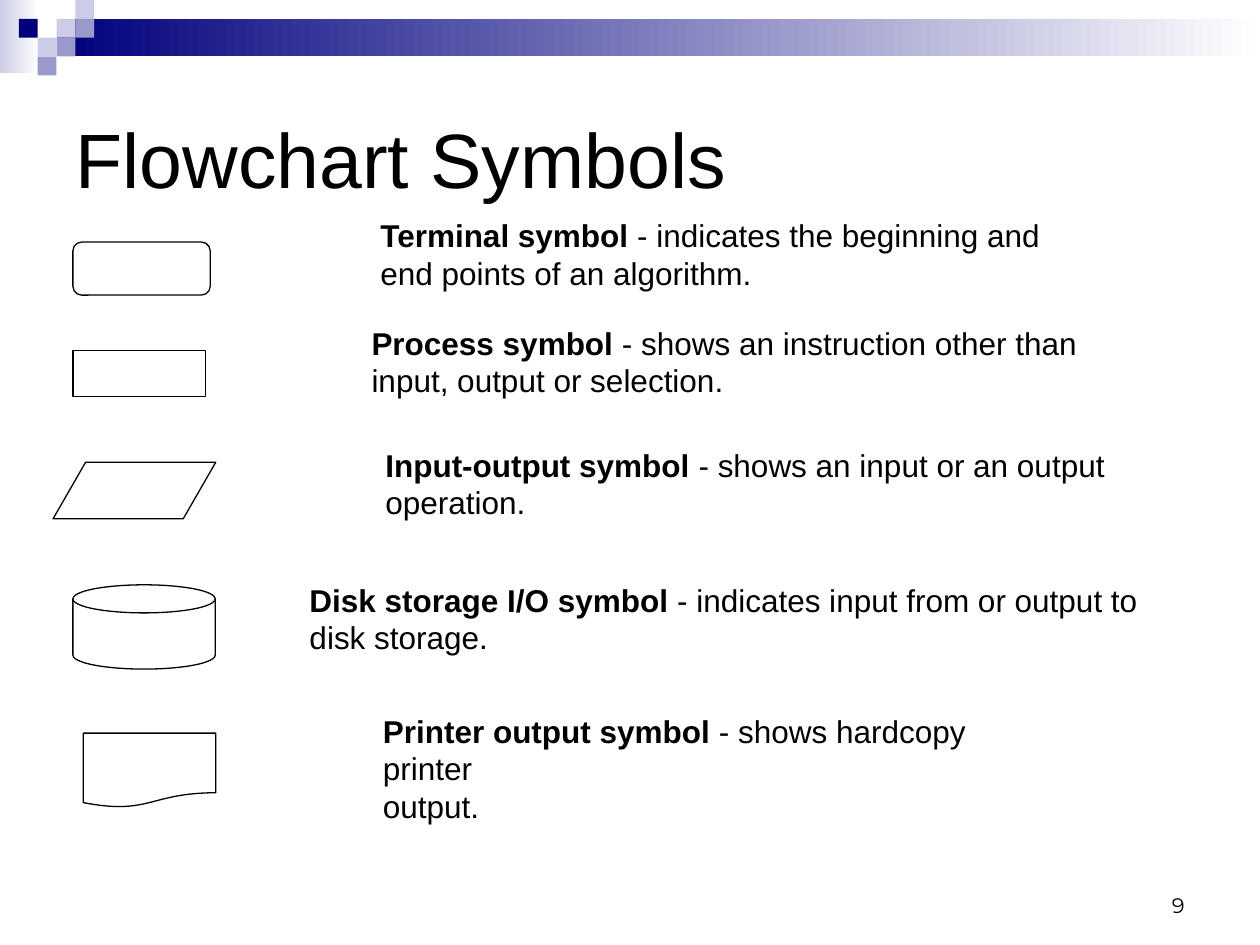
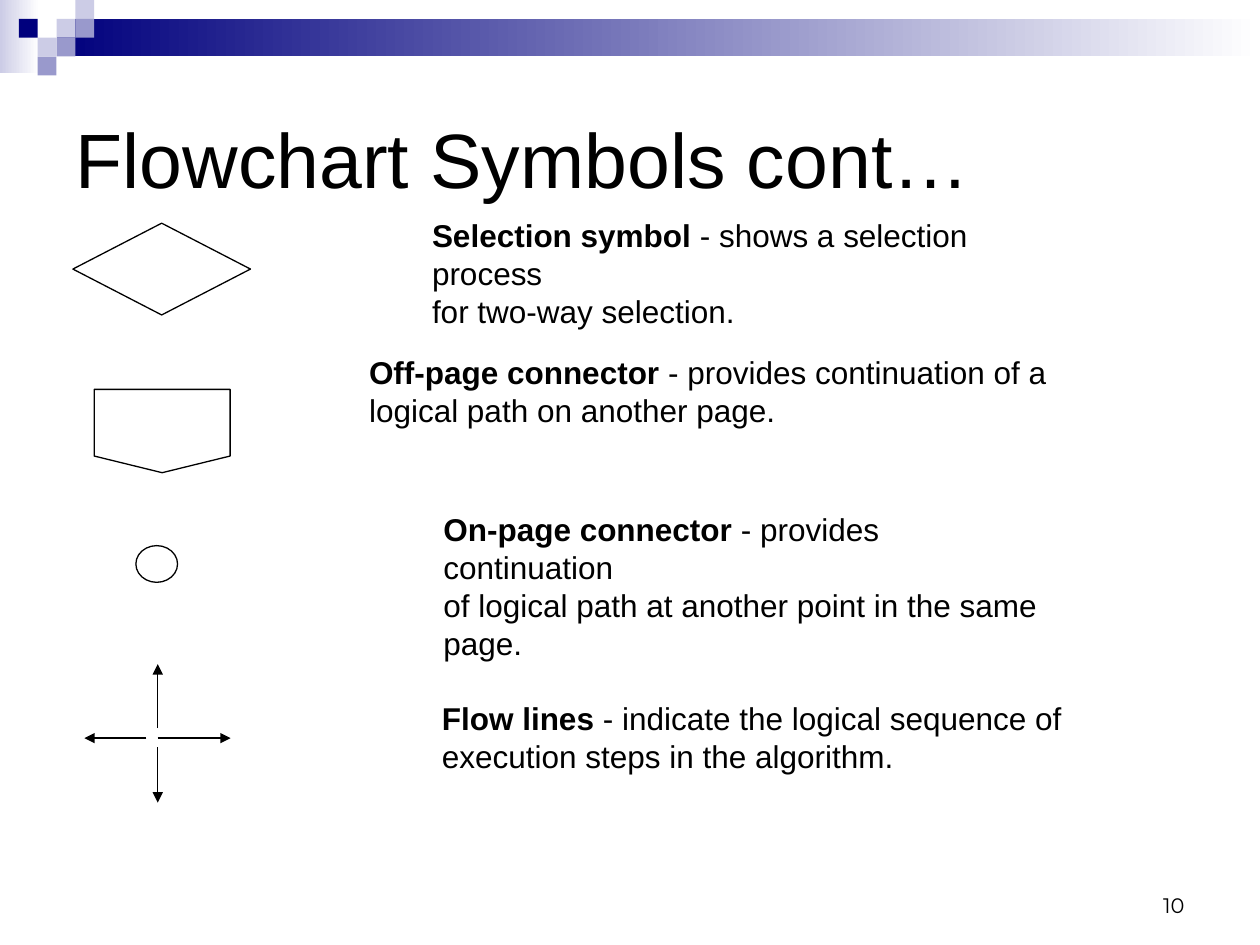
from lxml import etree
from pptx import Presentation
from pptx.dml.color import RGBColor
from pptx.enum.shapes import MSO_CONNECTOR, MSO_SHAPE
from pptx.enum.text import MSO_ANCHOR, MSO_AUTO_SIZE, PP_ALIGN
from pptx.oxml.ns import qn
from pptx.util import Cm, Pt

BLACK = RGBColor(0x00, 0x00, 0x00)
WHITE = RGBColor(0xFF, 0xFF, 0xFF)
NAVY = RGBColor(0x00, 0x00, 0x7D)
LAVENDER = RGBColor(0xCC, 0xCC, 0xE6)
PERIWINKLE = RGBColor(0x99, 0x99, 0xCC)

RECTANGLE = MSO_SHAPE.RECTANGLE
TERMINAL = MSO_SHAPE.FLOWCHART_ALTERNATE_PROCESS
PROCESS = MSO_SHAPE.FLOWCHART_PROCESS
INPUT_OUTPUT = MSO_SHAPE.FLOWCHART_DATA
DISK = MSO_SHAPE.FLOWCHART_MAGNETIC_DISK
PRINTER = MSO_SHAPE.FLOWCHART_DOCUMENT
SELECTION = MSO_SHAPE.FLOWCHART_DECISION
OFF_PAGE = MSO_SHAPE.FLOWCHART_OFFPAGE_CONNECTOR
ON_PAGE = MSO_SHAPE.FLOWCHART_CONNECTOR
STRAIGHT = MSO_CONNECTOR.STRAIGHT
LEFT, RIGHT = PP_ALIGN.LEFT, PP_ALIGN.RIGHT
TOP, MIDDLE, BOTTOM = MSO_ANCHOR.TOP, MSO_ANCHOR.MIDDLE, MSO_ANCHOR.BOTTOM
FIXED, GROW = MSO_AUTO_SIZE.NONE, MSO_AUTO_SIZE.SHAPE_TO_FIT_TEXT

TILE = 0.38
TILES = [
    (3, 1, LAVENDER), (4, 0, LAVENDER), (4, 1, PERIWINKLE), (2, 2, LAVENDER),
    (1, 1, NAVY), (3, 2, PERIWINKLE), (2, 3, PERIWINKLE),
]
FADES = [
    ((0, 0, 0.79, 1.47), LAVENDER),
    ((3 * TILE, TILE, 25.4 - 3 * TILE, 2 * TILE), NAVY),
]

PAGES = [
    {
        "title": "Flowchart Symbols",
        "number": "9",
        "symbols": [
            (TERMINAL, (1.47, 4.88, 2.77, 1.07)),
            (PROCESS, (1.47, 7.06, 2.67, 0.94)),
            (INPUT_OUTPUT, (1.07, 9.32, 3.28, 1.14)),
            (DISK, (1.47, 11.79, 2.87, 1.7)),
            (PRINTER, (1.68, 14.78, 2.67, 1.5)),
        ],
        "flow_lines": [],
        "meanings": [
            ((7.42, 4.24, 14.02, 1.78), "Terminal symbol",
             [" - indicates the beginning and", "end points of an algorithm."]),
            ((7.24, 6.4, 14.73, 1.78), "Process symbol",
             [" - shows an instruction other than", "input, output or selection."]),
            ((7.52, 8.86, 15.19, 1.78), "Input-output symbol",
             [" - shows an input or an output", "operation."]),
            ((5.99, 11.58, 17.35, 1.78), "Disk storage I/O symbol",
             [" - indicates input from or output to disk storage."]),
            ((7.47, 14.22, 14.22, 1.78), "Printer output symbol",
             [" - shows hardcopy printer", "output."]),
        ],
    },
    {
        "title": "Flowchart Symbols cont…",
        "number": "10",
        "symbols": [
            (SELECTION, (1.47, 4.5, 3.58, 1.85)),
            (OFF_PAGE, (1.9, 7.85, 2.74, 1.68)),
            (ON_PAGE, (2.74, 11, 0.84, 0.74)),
        ],
        "flow_lines": [
            (3.18, 14.68, 3.18, 13.39),
            (3.18, 14.88, 4.65, 14.88),
            (3.18, 15.06, 3.18, 16.18),
            (2.95, 14.88, 1.7, 14.88),
        ],
        "meanings": [
            ((8.46, 4.24, 13.69, 1.78), "Selection symbol",
             [" - shows a selection process", "for two-way selection."]),
            ((7.19, 6.99, 15.88, 1.78), "Off-page connector",
             [" - provides continuation of a logical path on another page."]),
            ((8.69, 10.16, 12.88, 2.54), "On-page connector",
             [" - provides continuation",
              "of logical path at another point in the same", "page."]),
            ((8.66, 13.97, 13, 1.78), "Flow lines",
             [" - indicate the logical sequence of", "execution steps in the algorithm."]),
        ],
    },
]


def write(frame, lines, term="", size=18, font="Arial", align=LEFT,
          anchor=TOP, wrap=True, fit=FIXED):
    frame.word_wrap = wrap
    frame.auto_size = fit
    frame.vertical_anchor = anchor
    for index, line in enumerate(lines):
        paragraph = frame.add_paragraph() if index else frame.paragraphs[0]
        paragraph.alignment = align
        for words, bold in ((term if index == 0 else "", True), (line, False)):
            if words:
                run = paragraph.add_run()
                run.text = words
                run.font.name = font
                run.font.size = Pt(size)
                run.font.bold = bold
                run.font.color.rgb = BLACK


def draw(slide, kind, box, color=None, fade=False):
    shape = slide.shapes.add_shape(kind, *map(Cm, box))
    shape.shadow.inherit = False
    if fade:
        shape.fill.gradient()
        shape.fill.gradient_angle = 0
        for stop, shade in zip(shape.fill.gradient_stops, (color, WHITE)):
            stop.color.rgb = shade
    elif color is not None:
        shape.fill.solid()
        shape.fill.fore_color.rgb = color
    else:
        shape.fill.background()
    if color is None:
        shape.line.color.rgb = BLACK
        shape.line.width = Pt(0.75)
    else:
        shape.line.fill.background()
    return shape


deck = Presentation()
deck.slide_width, deck.slide_height = Cm(25.4), Cm(19.05)
layout = deck.slide_layouts[5]
slides = [deck.slides.add_slide(layout) for page in PAGES]

band = [draw(slides[0], RECTANGLE, box, color, fade=True) for box, color in FADES]
band += [draw(slides[0], RECTANGLE, (column * TILE, row * TILE, TILE, TILE), color)
         for column, row, color in TILES]
for part in band:
    layout.shapes.element.append(part.element)

for slide, page in zip(slides, PAGES):
    heading = slide.shapes.title
    heading.left, heading.top = Cm(1.27), Cm(1.27)
    heading.width, heading.height = Cm(22.86), Cm(3.81)
    write(heading.text_frame, [page["title"]], size=44, anchor=MIDDLE)

    page_number = slide.shapes.add_textbox(Cm(18.21), Cm(17.35), Cm(5.92), Cm(1.27))
    write(page_number.text_frame, [page["number"]], size=12, font="Montserrat",
          align=RIGHT, anchor=BOTTOM)

    for kind, box in page["symbols"]:
        draw(slide, kind, box)

    for ends in page["flow_lines"]:
        arrow = slide.shapes.add_connector(STRAIGHT, *map(Cm, ends))
        arrow.line.color.rgb = BLACK
        arrow.line.width = Pt(0.75)
        etree.SubElement(arrow.line._get_or_add_ln(), qn("a:tailEnd"), type="triangle")
        etree.SubElement(arrow.element.spPr, qn("a:effectLst"))

    for box, term, lines in page["meanings"]:
        meaning = slide.shapes.add_textbox(*map(Cm, box))
        write(meaning.text_frame, lines, term=term, wrap=len(lines) == 1, fit=GROW)

deck.save("out.pptx")
